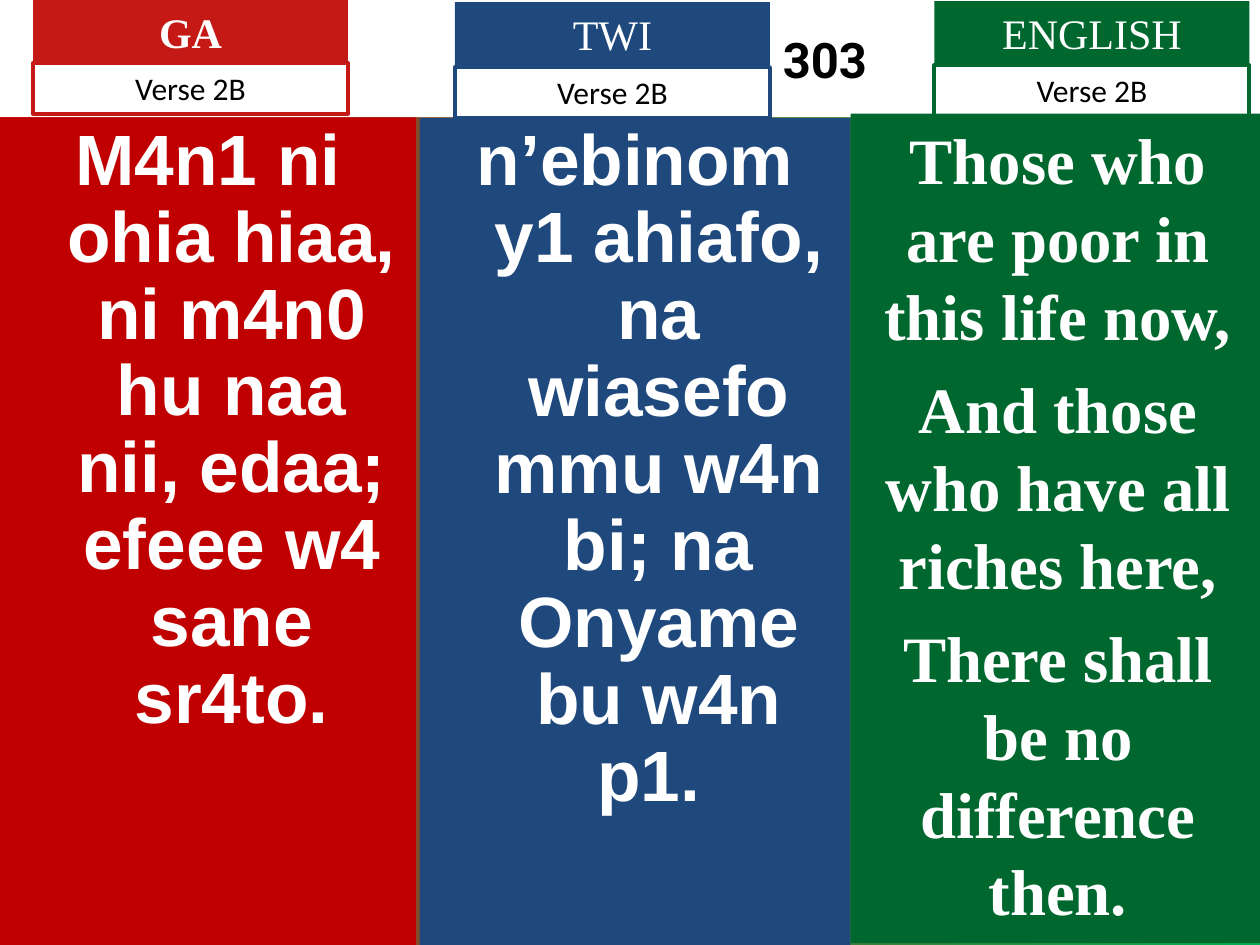
"""Build a hymn slide showing one verse in Ga, Twi and English."""
from lxml.etree import SubElement
from pptx import Presentation
from pptx.dml.color import RGBColor
from pptx.enum.shapes import MSO_SHAPE as Preset
from pptx.enum.text import MSO_ANCHOR as Anchor, MSO_AUTO_SIZE as AutoSize, PP_ALIGN as Align
from pptx.oxml.ns import qn
from pptx.util import Pt


def color(value):
    return RGBColor.from_string(value)


def write(shape, lines, font_name, size, font_color, bold=False, line_spacing=1.0, gap=0):
    frame = shape.text_frame
    frame.auto_size = AutoSize.NONE
    frame.word_wrap = True
    frame.text = "\n".join(lines)
    for index, paragraph in enumerate(frame.paragraphs):
        SubElement(paragraph._p.get_or_add_pPr(), qn("a:buNone"))
        paragraph.alignment = Align.CENTER
        paragraph.line_spacing = line_spacing
        paragraph.space_before = Pt(gap if index else 0)
        paragraph.font.name = font_name
        paragraph.font.size = Pt(size)
        paragraph.font.bold = bold
        paragraph.font.color.rgb = color(font_color)


presentation = Presentation()
presentation.slide_width, presentation.slide_height = Pt(720), Pt(540)
slide = presentation.slides.add_slide(presentation.slide_layouts[3])

background = slide.background.fill
background.gradient()
background.gradient_angle = 0
for stop, stop_color in zip(background.gradient_stops, ("C51915", "00B050")):
    stop.color.rgb = color(stop_color)

title, ga_panel, twi_panel = slide.placeholders
title.left, title.top, title.width, title.height = Pt(0), Pt(0), Pt(720), Pt(67)
title.fill.solid()
title.fill.fore_color.rgb = color("FFFFFF")
write(title, ["303"], "Roboto", 28, "000000", bold=True)
title.text_frame.margin_left = Pt(230)

english_panel = slide.shapes.add_shape(Preset.RECTANGLE, 0, 0, 0, 0)
english_panel.shadow.inherit = False
english_panel.line.fill.background()

ga_verse = ["M4n1 ni ohia hiaa, ni m4n0 hu naa nii, edaa; efeee w4 sane sr4to."]
twi_verse = ["n’ebinom y1 ahiafo, na wiasefo mmu w4n bi; na Onyame bu w4n p1. "]
english_verse = [
    "Those who are poor in this life now,",
    "And those who have all riches here,",
    "There shall be no difference then.",
]
panels = [
    (ga_panel, 0, 67, 237.6, 473, "C00000", ga_verse, "Arial", 40.7, 0.9),
    (twi_panel, 239.8, 67.5, 246.2, 472.5, "1F497D", twi_verse, "Arial", 40.7, 0.9),
    (english_panel, 486, 65, 237, 474, "00682F", english_verse, "Times New Roman", 37, 1.0),
]
for panel, left, top, width, height, fill, verse, font_name, size, line_spacing in panels:
    panel.left, panel.top, panel.width, panel.height = Pt(left), Pt(top), Pt(width), Pt(height)
    panel.fill.solid()
    panel.fill.fore_color.rgb = color(fill)
    write(panel, verse, font_name, size, "FFFFFF", True, line_spacing, 9.2)
    panel.text_frame.vertical_anchor = Anchor.TOP

headings = [
    ("GA", 18.9, 0, 36, "C51915", True),
    ("TWI", 260, 1.2, 38.3, "1F497D", False),
    ("ENGLISH", 534, 0.6, 37.2, "00682F", False),
]
for language, left, top, label_top, accent, bold in headings:
    heading = slide.shapes.add_shape(Preset.RECTANGLE, Pt(left), Pt(top), Pt(180), Pt(36.3))
    heading.fill.solid()
    heading.fill.fore_color.rgb = color(accent)
    heading.line.fill.background()
    write(heading, [language], "Times New Roman", 24, "FFFFFF", bold)

    label = slide.shapes.add_shape(Preset.RECTANGLE, Pt(left), Pt(label_top), Pt(180), Pt(29))
    label.fill.background()
    label.line.color.rgb = color(accent)
    label.line.width = Pt(2.25)
    write(label, ["Verse 2B"], "Calibri", 18, "000000")

    for shape in (heading, label):
        shape.shadow.inherit = False
        shape.text_frame.vertical_anchor = Anchor.TOP

presentation.save("out.pptx")
